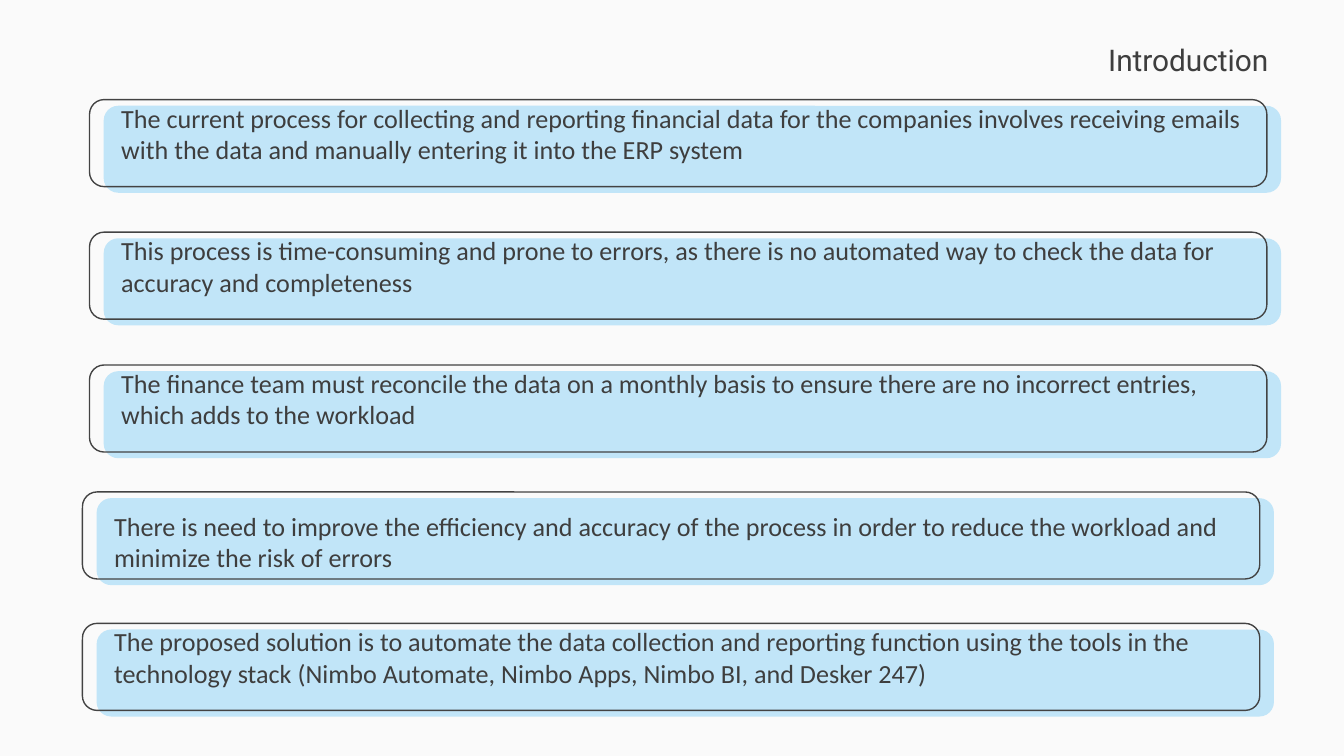
"""Build the Introduction slide: five statements on offset rounded cards."""
from pptx import Presentation
from pptx import util as u
from pptx.dml.color import RGBColor
from pptx.enum import shapes, text

PAPER = RGBColor(0xFA, 0xFA, 0xFA)
SKY = RGBColor(0xC1, 0xE5, 0xF8)
INK = RGBColor(0x3E, 0x3E, 0x3E)
OUTLINE = RGBColor(0x43, 0x43, 0x43)

CARD_W, CARD_H = 630.7, 46.6
OFFSET_X, OFFSET_Y = 7.6, 3.3
RAISED, CENTERED = (0, 17), (7.2, 7.2)

CARDS = [
    (48, 53.4, RAISED, "The current process for collecting and reporting financial data for the "
     "companies involves receiving emails with the data and manually entering it into the ERP system"),
    (48, 124.4, RAISED, "This process is time-consuming and prone to errors, as there is no automated "
     "way to check the data for accuracy and completeness"),
    (48, 195.6, RAISED, "The finance team must reconcile the data on a monthly basis to ensure there "
     "are no incorrect entries, which adds to the workload"),
    (44.2, 263.6, CENTERED, "There is need to improve the efficiency and accuracy of the process in "
     "order to reduce the workload and minimize the risk of errors"),
    (44.2, 334, RAISED, "The proposed solution is to automate the data collection and reporting "
     "function using the tools in the technology stack (Nimbo Automate, Nimbo Apps, Nimbo BI, "
     "and Desker 247)"),
]


def add_card(group, left, top):
    sp = group.shapes.add_shape(shapes.MSO_SHAPE.ROUNDED_RECTANGLE,
                                u.Pt(left), u.Pt(top), u.Pt(CARD_W), u.Pt(CARD_H))
    sp.adjustments[0] = 0.167
    sp.shadow.inherit = False
    return sp


def write(p, words, font, size, align):
    p.text = words
    p.alignment = align
    p.font.name = font
    p.font.size = u.Pt(size)
    p.font.color.rgb = INK


prs = Presentation()
prs.slide_width, prs.slide_height = u.Pt(720), u.Pt(405)
s = prs.slides.add_slide(prs.slide_layouts[6])
s.background.fill.solid()
s.background.fill.fore_color.rgb = PAPER

for left, top, (inset_top, inset_bottom), words in CARDS:
    group = s.shapes.add_group_shape()

    sp = add_card(group, left + OFFSET_X, top + OFFSET_Y)
    sp.fill.solid()
    sp.fill.fore_color.rgb = SKY
    sp.line.fill.background()
    tf = sp.text_frame
    tf.word_wrap = True
    tf.vertical_anchor = text.MSO_ANCHOR.MIDDLE
    tf.margin_left = tf.margin_right = u.Pt(7.2)
    tf.margin_top, tf.margin_bottom = u.Pt(inset_top), u.Pt(inset_bottom)
    write(tf.paragraphs[0], words, "Calibri", 14, text.PP_ALIGN.LEFT)

    sp = add_card(group, left, top)
    sp.fill.background()
    sp.line.color.rgb = OUTLINE
    sp.line.width = u.Pt(0.75)

title = s.shapes.add_textbox(u.Pt(159), u.Pt(18.8), u.Pt(527.6), u.Pt(26.6))
tf = title.text_frame
tf.word_wrap = True
write(tf.paragraphs[0], "Introduction", "Roboto", 16, text.PP_ALIGN.RIGHT)

prs.save("out.pptx")
